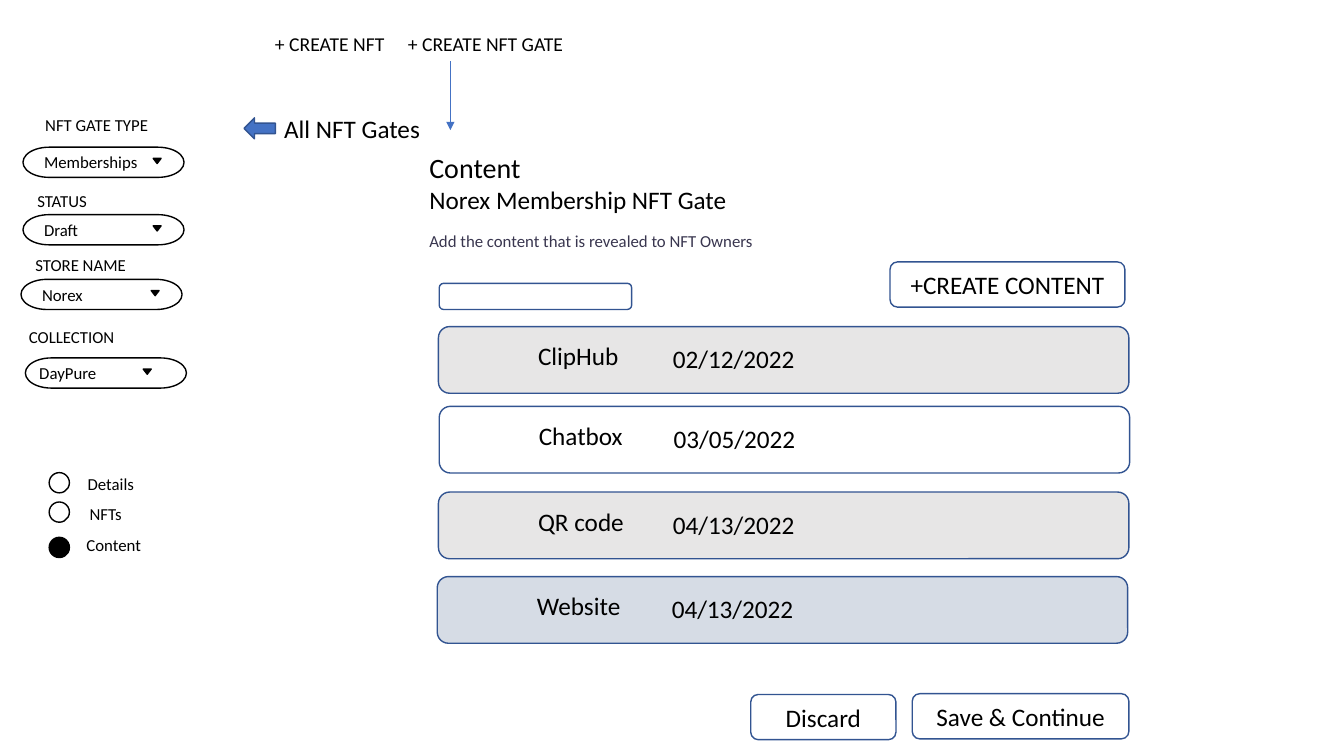
from lxml.etree import SubElement
from pptx import Presentation
from pptx.dml.color import RGBColor
from pptx.enum.shapes import MSO_CONNECTOR, MSO_SHAPE
from pptx.enum.text import MSO_ANCHOR, PP_ALIGN
from pptx.oxml.ns import qn
from pptx.util import Cm, Pt

COLORS = {
    "black": "000000",
    "blue": "4472C4",
    "navy": "325491",
    "slate": "39364F",
    "gray": "E7E6E6",
    "pale": "D6DCE5",
}


def color(name):
    """Return the palette colour of that name."""
    return RGBColor.from_string(COLORS[name])


def set_text(frame, words, size, ink="black"):
    """Write one paragraph into a text frame and return it."""
    paragraph = frame.paragraphs[0]
    paragraph.text = words
    paragraph.font.name = "Calibri"
    paragraph.font.size = Pt(size)
    paragraph.font.color.rgb = color(ink)
    return paragraph


def add_text(slide, box, words, size, ink="black", wrap=True):
    """Place a text box; box is left, top, width, height in cm."""
    frame = slide.shapes.add_textbox(*map(Cm, box)).text_frame
    frame.word_wrap = wrap
    set_text(frame, words, size, ink)


def add_outline(slide, kind, box, fill=None, line="navy"):
    """Place a preset shape with a thin outline and an optional fill."""
    outline = slide.shapes.add_shape(kind, *map(Cm, box))
    outline.shadow.inherit = False
    if fill:
        outline.fill.solid()
        outline.fill.fore_color.rgb = color(fill)
    else:
        outline.fill.background()
    outline.line.color.rgb = color(line)
    outline.line.width = Pt(1)
    return outline


def add_button(slide, box, words):
    """Place a rounded button with a centred caption."""
    button = add_outline(slide, MSO_SHAPE.ROUNDED_RECTANGLE, box)
    button.text_frame.word_wrap = True
    button.text_frame.vertical_anchor = MSO_ANCHOR.MIDDLE
    set_text(button.text_frame, words, 18).alignment = PP_ALIGN.CENTER


def add_filter(slide, box, label, choice, label_offset, choice_dx=0.28, marker_dx=3.28):
    """Draw a labelled dropdown whose pill fills the box."""
    left, top, width, height = box
    label_dx, label_dy = label_offset
    add_outline(slide, MSO_SHAPE.FLOWCHART_TERMINATOR, box, line="black")
    add_text(slide, (left + choice_dx, top, width - choice_dx, height), choice, 12)
    marker = add_outline(slide, MSO_SHAPE.ISOSCELES_TRIANGLE,
                         (left + marker_dx, top + 0.28, 0.2, 0.13), "black", "black")
    marker.rotation = 180
    add_text(slide, (left + label_dx, top + label_dy, 3.15, height), label, 12, wrap=False)


def add_steps(slide, box):
    """List the wizard steps, with the current one filled."""
    left, top, width, height = box
    steps = [("Details", 0, 0.72, -0.1, None),
             ("NFTs", 0.74, 0.77, 0.66, None),
             ("Content", 1.63, 0.69, 1.43, "black")]
    for step, dot_dy, label_dx, label_dy, fill in steps:
        add_outline(slide, MSO_SHAPE.OVAL, (left, top + dot_dy, 0.51, 0.51), fill, "black")
        add_text(slide, (left + label_dx, top + label_dy, width - label_dx, 0.76),
                 step, 12, wrap=False)


def add_navigation(slide, box):
    """Draw the create links, the pointer below them and the way back."""
    left, top, width, height = box
    add_text(slide, (left + 0.53, top, 3.3, 0.86), "+ CREATE NFT", 14, wrap=False)
    add_text(slide, (left + 3.88, top, 4.47, 0.86), "+ CREATE NFT GATE", 14, wrap=False)
    add_outline(slide, MSO_SHAPE.LEFT_ARROW, (left, top + 2.28, 0.79, 0.53), "blue")
    add_text(slide, (left + 0.76, top + 2.05, 4.45, 1.04), "All NFT Gates", 18)

    pointer_x = Cm(left + 5.2)
    pointer = slide.shapes.add_connector(
        MSO_CONNECTOR.STRAIGHT, pointer_x, Cm(top + 0.86), pointer_x, Cm(top + height))
    pointer.line.color.rgb = color("blue")
    pointer.line.width = Pt(0.5)
    SubElement(pointer.line._get_or_add_ln(), qn("a:tailEnd"), type="triangle")
    SubElement(pointer._element.spPr, qn("a:effectLst"))


def add_heading(slide, box):
    """Write the title, the gate name and the hint."""
    left, top, width, height = box
    add_text(slide, (left, top, 2.82, 1.12), "Content", 20, wrap=False)
    add_text(slide, (left, top + 0.84, width, 1.02), "Norex Membership NFT Gate", 18)
    add_text(slide, (left, top + 2.01, width, 0.76),
             "Add the content that is revealed to NFT Owners", 12, "slate")


def add_content_row(slide, box, name, date, fill):
    """Draw one content entry with its name and date."""
    left, top, width, height = box
    add_outline(slide, MSO_SHAPE.ROUNDED_RECTANGLE, box, fill)
    add_text(slide, (left + 2.26, top + 0.23, 6.43, 1.02), name, 18)
    add_text(slide, (left + 5.66, top + 0.3, 6.43, 1.02), date, 18)


def add_content_list(slide, box):
    """Draw the search field, the content entries and the buttons."""
    left, top, width, height = box
    add_outline(slide, MSO_SHAPE.ROUNDED_RECTANGLE, (left + 0.05, top + 0.54, 4.85, 0.66))
    add_button(slide, (left + 11.41, top, 5.92, 1.14), "+CREATE CONTENT")
    entries = [("ClipHub", "02/12/2022", 0.03, 1.63, "gray"),
               ("Chatbox", "03/05/2022", 0.05, 3.64, None),
               ("QR code", "04/13/2022", 0.03, 5.8, "gray"),
               ("Website", "04/13/2022", 0, 7.93, "pale")]
    for name, date, dx, dy, fill in entries:
        add_content_row(slide, (left + dx, top + dy, width, 1.68), name, date, fill)
    add_button(slide, (left + 7.9, top + 10.9, 3.66, 1.14), "Discard")
    add_button(slide, (left + 11.97, top + 10.88, 5.46, 1.14), "Save & Continue")


def build():
    """Build the gate content screen and save it."""
    deck = Presentation()
    deck.slide_width, deck.slide_height = Cm(33.87), Cm(19.05)
    slide = deck.slides.add_slide(deck.slide_layouts[6])
    add_filter(slide, (0.58, 3.71, 4.06, 0.76), "NFT GATE TYPE", "Memberships", (0.31, -0.94))
    add_filter(slide, (0.58, 5.41, 4.06, 0.76), "STATUS", "Draft", (0.11, -0.74))
    add_filter(slide, (0.53, 7.04, 4.06, 0.76), "STORE NAME", "Norex", (0.11, -0.74))
    add_filter(slide, (0.64, 9.02, 4.06, 0.76), "COLLECTION", "DayPure", (-0.16, -0.92),
               choice_dx=0.1, marker_dx=2.97)
    add_steps(slide, (1.24, 11.91, 2.6, 2.19))
    add_navigation(slide, (6.15, 0.69, 8.35, 2.59))
    add_heading(slide, (10.57, 3.68, 14.9, 2.77))
    add_content_list(slide, (11.02, 6.6, 17.4, 12.04))
    deck.save("out.pptx")


build()
